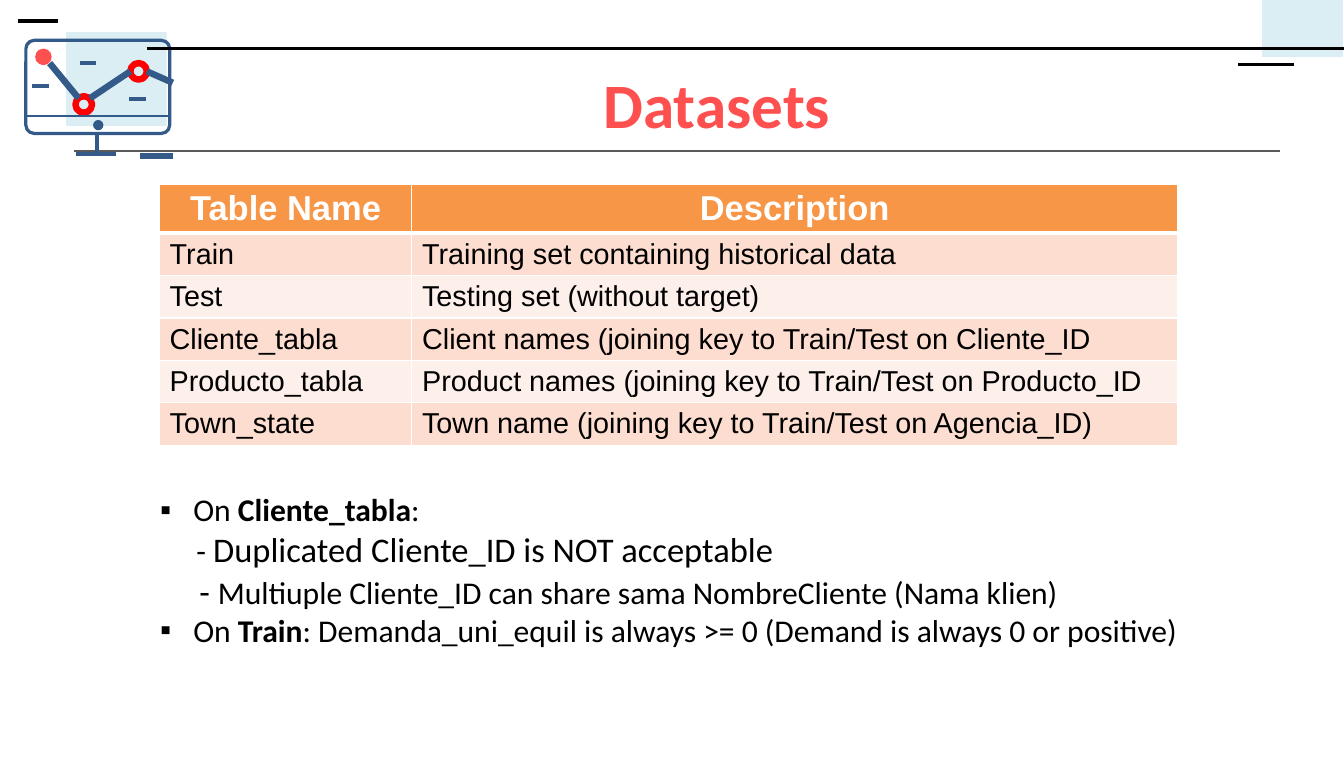
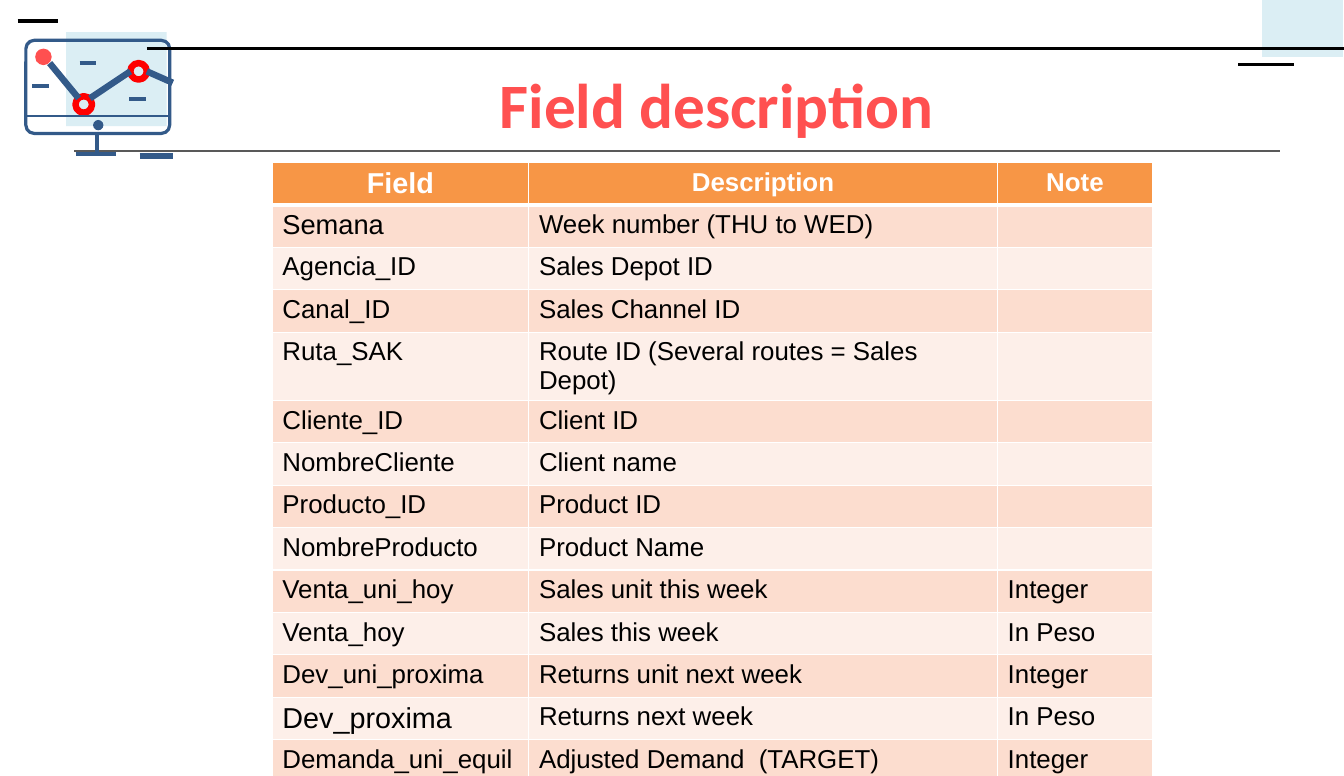
from pptx import Presentation
from pptx.util import Inches, Pt
from pptx.dml.color import RGBColor
from pptx.enum.shapes import MSO_SHAPE as Geo, MSO_CONNECTOR as Link
from pptx.enum.text import PP_ALIGN as Al, MSO_ANCHOR as Anchor, MSO_AUTO_SIZE as Fit
from pptx.oxml.ns import qn
from lxml.etree import SubElement as Sub

WIDE, HIGH = 12.99, 7.5
BLACK = RGBColor(0x00, 0x00, 0x00)
WHITE = RGBColor(0xFF, 0xFF, 0xFF)
CORAL = RGBColor(0xFF, 0x50, 0x50)
RED = RGBColor(0xFF, 0x00, 0x00)
NAVY = RGBColor(0x33, 0x5A, 0x89)
PALE = RGBColor(0xDB, 0xEE, 0xF4)
GREY = RGBColor(0x59, 0x59, 0x59)
ORANGE = RGBColor(0xF7, 0x96, 0x46)
BANDS = RGBColor(0xFC, 0xDD, 0xCF), RGBColor(0xFD, 0xEF, 0xE9)

SETS = [
    ("Table Name", "Description"),
    ("Train", "Training set containing historical data"),
    ("Test", "Testing set (without target)"),
    ("Cliente_tabla", "Client names (joining key to Train/Test on Cliente_ID"),
    ("Producto_tabla", "Product names (joining key to Train/Test on Producto_ID"),
    ("Town_state", "Town name (joining key to Train/Test on Agencia_ID)"),
]
FIELDS = [
    ("Field", "Description", "Note"),
    ("Semana", "Week number (THU to WED)", ""),
    ("Agencia_ID", "Sales Depot ID", ""),
    ("Canal_ID", "Sales Channel ID", ""),
    ("Ruta_SAK", "Route ID (Several routes = Sales Depot)", ""),
    ("Cliente_ID", "Client ID", ""),
    ("NombreCliente", "Client name", ""),
    ("Producto_ID", "Product ID", ""),
    ("NombreProducto", "Product Name", ""),
    ("Venta_uni_hoy", "Sales unit this week", "Integer"),
    ("Venta_hoy", "Sales this week", "In Peso"),
    ("Dev_uni_proxima", "Returns unit next week", "Integer"),
    ("Dev_proxima", "Returns next week", "In Peso"),
    ("Demanda_uni_equil", "Adjusted Demand  (TARGET)", "Integer"),
]
SIZES = {"Field": 20, "Semana": 19, "Dev_proxima": 20}
NOTES = [
    ("▪", 0.32, -0.32, [("On ", 22, False), ("Cliente_tabla", 22, True), (":", 22, False)]),
    ("", 0.35, 0, [("- ", 22, False), ("Duplicated Cliente_ID is NOT acceptable", 24, False)]),
    ("", 0.38, 0, [("- ", 24, False),
                   ("Multiuple Cliente_ID can share sama NombreCliente (Nama klien)", 22, False)]),
    ("▪", 0.32, -0.32, [("On ", 22, False), ("Train", 22, True),
                        (": Demanda_uni_equil is always >= 0 (Demand is always 0 or positive)",
                         22, False)]),
]

RULES = [
    (1.42, 0.47, WIDE, 0.47, BLACK, 2.25),
    (0.17, 0.2, 0.56, 0.2, BLACK, 3),
    (11.97, 0.62, 12.51, 0.62, BLACK, 2.25),
    (0.72, 1.46, 12.37, 1.46, GREY, 1),
]
SCREEN = [
    (1.35, 1.51, 1.67, 1.51, NAVY, 4.5),
    (0.48, 0.61, 0.76, 0.95, NAVY, 4.5),
    (0.87, 0.95, 1.26, 0.69, NAVY, 4.5),
    (1.42, 0.69, 1.67, 0.8, NAVY, 4.5),
    (0.77, 0.61, 0.93, 0.61, NAVY, 3),
    (1.25, 0.96, 1.41, 0.96, NAVY, 3),
    (0.31, 0.83, 0.47, 0.83, NAVY, 3),
    (0.25, 1.12, 1.64, 1.12, NAVY, 1.5),
    (0.73, 1.49, 1.12, 1.49, NAVY, 3),
    (0.94, 1.49, 0.94, 1.3, NAVY, 3),
]
BLOCKS = [
    (Geo.RECTANGLE, 12.2, 0, 0.78, 0.55, PALE, None, 0),
    (Geo.RECTANGLE, 0.64, 0.31, 0.97, 0.91, PALE, None, 0),
    (Geo.OVAL, 0.34, 0.47, 0.16, 0.16, CORAL, None, 0),
    (Geo.OVAL, 0.73, 0.93, 0.16, 0.16, None, RED, 4.5),
    (Geo.OVAL, 1.26, 0.61, 0.16, 0.16, None, RED, 4.5),
    (Geo.ROUNDED_RECTANGLE, 0.25, 0.39, 1.39, 0.9, None, NAVY, 2.25),
    (Geo.OVAL, 0.9, 1.16, 0.1, 0.1, NAVY, None, 0),
]


def write(para, text, size=18, font="Arial", color=BLACK, bold=False, align=Al.LEFT):
    para.alignment = align
    run = para.add_run()
    run.text = text
    run.font.size, run.font.name, run.font.bold = Pt(size), font, bold
    run.font.color.rgb = color


def block(slide, geo, x, y, w, h, fill, edge, width):
    shape = slide.shapes.add_shape(geo, *map(Inches, (x, y, w, h)))
    shape.shadow.inherit = False
    if geo == Geo.ROUNDED_RECTANGLE:
        shape.adjustments[0] = 0.09
    if fill is None:
        shape.fill.background()
    else:
        shape.fill.solid()
        shape.fill.fore_color.rgb = fill
    if edge is None:
        shape.line.fill.background()
    else:
        shape.line.color.rgb = edge
        shape.line.width = Pt(width)


def rule(slide, x1, y1, x2, y2, color, width):
    line = slide.shapes.add_connector(Link.STRAIGHT, *map(Inches, (x1, y1, x2, y2)))
    line.line.color.rgb = color
    line.line.width = Pt(width)
    Sub(line._element.spPr, qn("a:effectLst"))


def page(deck, title):
    slide = deck.slides.add_slide(deck.slide_layouts[5])
    for item in BLOCKS:
        block(slide, *item)
    for item in RULES + SCREEN:
        rule(slide, *item)
    head = slide.shapes.title
    head.left, head.top, head.width, head.height = map(Inches, (2.01, 0.46, 9.84, 1.08))
    frame = head.text_frame
    frame.auto_size, frame.vertical_anchor = Fit.NONE, Anchor.MIDDLE
    write(frame.paragraphs[0], title, size=44, font="Calibri", color=CORAL,
          bold=True, align=Al.CENTER)
    return slide


def border(cell, row):
    widths = {"L": 1, "R": 1, "T": 3 if row == 1 else 1, "B": 3 if row == 0 else 1}
    for side, width in widths.items():
        edge = Sub(cell._tc.get_or_add_tcPr(), qn("a:ln" + side), w=str(Pt(width)))
        Sub(Sub(edge, qn("a:solidFill")), qn("a:srgbClr"), val=str(WHITE))


def grid(slide, data, x, y, cols, top, body):
    tall = 0.41
    table = slide.shapes.add_table(len(data), len(cols), *map(
        Inches, (x, y, sum(cols), tall * len(data)))).table
    for col, width in zip(table.columns, cols):
        col.width = Inches(width)
    for r, texts in enumerate(data):
        table.rows[r].height = Inches(tall)
        for c, text in enumerate(texts):
            cell = table.cell(r, c)
            border(cell, r)
            cell.fill.solid()
            cell.fill.fore_color.rgb = BANDS[(r - 1) % 2] if r else ORANGE
            if text:
                write(cell.text_frame.paragraphs[0], text,
                      size=SIZES.get(text, body if r else top),
                      color=BLACK if r else WHITE, bold=r == 0,
                      align=Al.LEFT if r else Al.CENTER)


def notes(slide):
    frame = slide.shapes.add_textbox(*map(Inches, (1.45, 4.69, 10.4, 1.7))).text_frame
    frame.word_wrap = True
    for i, (mark, left, hang, runs) in enumerate(NOTES):
        para = frame.add_paragraph() if i else frame.paragraphs[0]
        props = para._p.get_or_add_pPr()
        props.set("marL", str(Inches(left)))
        props.set("indent", str(Inches(hang)))
        if mark:
            Sub(props, qn("a:buFont"), typeface="Arial")
            Sub(props, qn("a:buChar"), char=mark)
        for text, size, bold in runs:
            write(para, text, size=size, font="Calibri", bold=bold, align=Al.JUSTIFY)


def main():
    deck = Presentation()
    deck.slide_width, deck.slide_height = Inches(WIDE), Inches(HIGH)
    slide = page(deck, "Datasets")
    grid(slide, SETS, 1.54, 1.78, (2.44, 7.4), 24, 20)
    notes(slide)
    slide = page(deck, "Field description")
    grid(slide, FIELDS, 2.63, 1.57, (2.48, 4.53, 1.5), 18, 18)
    deck.save("out.pptx")


if __name__ == "__main__":
    main()
